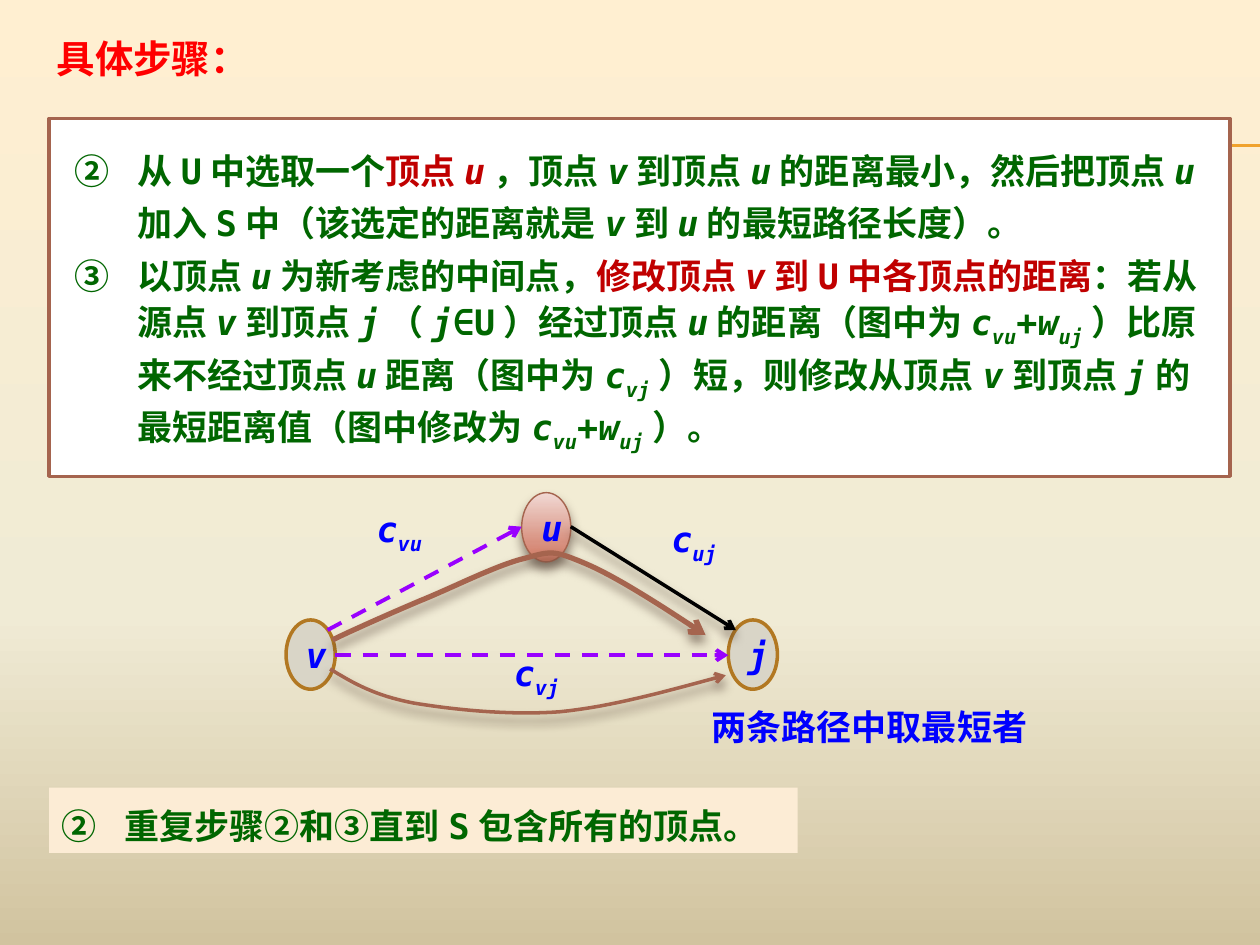
from lxml import etree
from pptx import Presentation, util as u
from pptx.dml.color import RGBColor
from pptx.enum import dml, lang, shapes, text
from pptx.oxml.ns import qn

Inches = u.Inches
FONT = "DejaVu Sans Mono"
COLORS = {
    "title": "FF0000", "step": "006600", "key": "C00000", "label": "0000FF",
    "rule": "F0A22E", "brown": "A5644E", "white": "FFFFFF", "repeat": "FCECD5",
    "node": "D9D5C7", "node_edge": "B27822", "dashed": "9900FF",
    "black": "000000", "shadow": "4E3B30",
}
BACKGROUND = [(0, "FFEFD1"), (65, "F0EBD5"), (100, "D1C39F")]
CHOSEN = [(0, "F1D9D4"), (72, "D89180"), (100, "D47A62")]
# *italic*, _subscript_, |key phrase|
STEPS = [
    "从U中选取一个|顶点*u*|，顶点*v*到顶点*u*的距离最小，然后把顶点*u*"
    "加入S中（该选定的距离就是*v*到*u*的最短路径长度）。",
    "以顶点*u*为新考虑的中间点，|修改顶点*v*到U中各顶点的距离|：若从源点*v*"
    "到顶点*j*（*j*∈U）经过顶点*u*的距离（图中为*c_vu_*+*w_uj_*）比原来不经过"
    "顶点*u*距离（图中为*c_vj_*）短，则修改从顶点*v*到顶点*j*的最短距离值"
    "（图中修改为*c_vu_*+*w_uj_*）。",
]


def rgb(name):
    return RGBColor.from_string(COLORS[name])


def child(parent, tag, **attributes):
    return etree.SubElement(parent, qn(tag), {k: str(v) for k, v in attributes.items()})


def add_run(paragraph, words, size, color, marks):
    run = paragraph.add_run()
    run.text = words
    font = run.font
    font.name, font.size, font.bold = FONT, u.Pt(size), True
    font.italic = "*" in marks
    font.language_id = lang.MSO_LANGUAGE_ID.SIMPLIFIED_CHINESE
    font.color.rgb = rgb("key" if "|" in marks else color)
    if "_" in marks:
        font._element.set("baseline", "-25000")


def write(frame, paragraphs, size=20, color="label", align=text.PP_ALIGN.LEFT,
          anchor=text.MSO_ANCHOR.TOP, inset=(0.1, 0.05), numbered=False):
    frame.word_wrap = True
    frame.auto_size = text.MSO_AUTO_SIZE.NONE
    frame.vertical_anchor = anchor
    frame.margin_left = frame.margin_right = Inches(inset[0])
    frame.margin_top = frame.margin_bottom = Inches(inset[1])
    for i, marked in enumerate(paragraphs):
        paragraph = frame.add_paragraph() if i else frame.paragraphs[0]
        paragraph.alignment = align
        paragraph.space_before = u.Pt(0)
        if numbered:
            paragraph.line_spacing = u.Pt(30)
            properties = paragraph._p.get_or_add_pPr()
            properties.set("marL", str(Inches(0.5)))
            properties.set("indent", str(Inches(-0.5)))
            child(properties, "a:buAutoNum", type="circleNumDbPlain", startAt=2)
        marks, words = set(), ""
        for letter in marked:
            if letter in "*_|":
                if words:
                    add_run(paragraph, words, size, color, marks)
                marks, words = marks ^ {letter}, ""
            else:
                words += letter
        if words:
            add_run(paragraph, words, size, color, marks)


def place(shape, left, top, width, height):
    shape.left, shape.top = Inches(left), Inches(top)
    shape.width, shape.height = Inches(width), Inches(height)


def gradient(fill, owner, stops):
    fill.gradient()
    fill.gradient_angle = 270
    stop_list = owner.xpath(".//a:gsLst")[0]
    stop_list.clear()
    for position, color in stops:
        stop = child(stop_list, "a:gs", pos=position * 1000)
        child(stop, "a:srgbClr", val=color)


def set_effect(shape, shadowed=False):
    properties = shape._element.spPr
    effects = properties.find(qn("a:effectLst"))
    if effects is None:
        effects = child(properties, "a:effectLst")
    if shadowed:
        outer = child(effects, "a:outerShdw", blurRad=u.Pt(6), dist=u.Pt(4),
                      dir=5400000, rotWithShape=0)
        color = child(outer, "a:srgbClr", val=COLORS["shadow"])
        child(color, "a:alpha", val=60000)


def stroke(shape, color, width, dashed=False, arrow=False):
    shape.line.color.rgb = rgb(color)
    shape.line.width = u.Pt(width)
    if dashed:
        shape.line.dash_style = dml.MSO_LINE.DASH
    if arrow:
        child(shape.get_or_add_ln(), "a:tailEnd", type="arrow")


def add_line(slide, start, end, color, width, shadowed=False, **style):
    line = slide.shapes.add_connector(
        shapes.MSO_CONNECTOR.STRAIGHT, *(Inches(n) for n in (*start, *end)))
    stroke(line, color, width, **style)
    set_effect(line, shadowed)
    return line


def add_curve(slide, start, bends, width):
    points, here = [], start
    for a, b, end in bends:
        for step in range(1, 17):
            t = step / 16
            weights = (1 - t) ** 3, 3 * t * (1 - t) ** 2, 3 * t * t * (1 - t), t ** 3
            points.append(tuple(
                Inches(sum(w * p[axis] for w, p in zip(weights, (here, a, b, end))))
                for axis in (0, 1)))
        here = end
    builder = slide.shapes.build_freeform(Inches(start[0]), Inches(start[1]))
    builder.add_line_segments(points, close=False)
    curve = builder.convert_to_shape()
    curve.fill.background()
    stroke(curve, "brown", width, arrow=True)
    set_effect(curve, True)


def add_label(slide, left, top, width, words):
    label = slide.shapes.add_textbox(*(Inches(n) for n in (left, top, width, 0.44)))
    write(label.text_frame, [words])


def add_backdrop(slide):
    gradient(slide.background.fill, slide._element, BACKGROUND)
    for y in (1.15, 1.16):
        rule = add_line(slide, (0.56, y), (10, y), "rule", 0.75)
        slide.shapes._spTree.insert(2, rule._element)


def add_title(slide, *box):
    title = slide.shapes.title
    place(title, *box)
    write(title.text_frame, ["具体步骤："], size=22, color="title")


def add_steps(slide, *box):
    steps = slide.placeholders[1]
    place(steps, *box)
    steps.fill.solid()
    steps.fill.fore_color.rgb = rgb("white")
    stroke(steps, "brown", 2)
    write(steps.text_frame, STEPS, color="step", inset=(0.2, 0.16), numbered=True)


def add_node(slide, left, top, name, chosen=False):
    node = slide.shapes.add_shape(
        shapes.MSO_SHAPE.OVAL, *(Inches(n) for n in (left, top, 0.39, 0.55)))
    if chosen:
        gradient(node.fill, node._element, CHOSEN)
        stroke(node, "brown", 0.79)
    else:
        node.fill.solid()
        node.fill.fore_color.rgb = rgb("node")
        stroke(node, "node_edge", 2)
    node.shadow.inherit = False
    set_effect(node, chosen)
    write(node.text_frame, [f"*{name}*"], align=text.PP_ALIGN.CENTER,
          anchor=text.MSO_ANCHOR.MIDDLE)


def add_graph(slide, left, top):
    def at(x, y):
        return left + x, top + y

    add_node(slide, *at(1.87, 0), "u", chosen=True)
    add_node(slide, *at(0, 1.01), "v")
    add_node(slide, *at(3.51, 1.01), "j")
    add_line(slide, at(0.39, 1.29), at(3.51, 1.29), "dashed", 2.25, dashed=True, arrow=True)
    add_line(slide, at(2.26, 0.27), at(3.57, 1.09), "black", 2, shadowed=True, arrow=True)
    add_line(slide, at(0.33, 1.09), at(1.87, 0.27), "dashed", 2.25, dashed=True, arrow=True)
    for x, y, ends in [(0.62, 0.07, "vu"), (1.71, 1.21, "vj"), (2.96, 0.15, "uj")]:
        add_label(slide, *at(x, y), 0.63, f"*c_{ends}_*")
    add_curve(slide, at(0.37, 1.17), [
        (at(0.42, 1.14), at(0.8, 0.97), at(1.06, 0.86)),
        (at(1.31, 0.76), at(1.68, 0.57), at(1.9, 0.52)),
        (at(2.11, 0.46), at(2.13, 0.46), at(2.37, 0.56)),
        (at(2.61, 0.66), at(2.97, 0.89), at(3.33, 1.13))], 3)
    add_curve(slide, at(0.35, 1.4), [
        (at(0.53, 1.51), at(0.7, 1.61), at(1.01, 1.67)),
        (at(1.31, 1.72), at(1.76, 1.77), at(2.17, 1.74)),
        (at(2.59, 1.7), at(3.04, 1.57), at(3.49, 1.45))], 2)
    add_label(slide, *at(3.28, 1.64), 2.73, "两条路径中取最短者")


def add_repeat_step(slide, *box):
    repeat = slide.shapes.add_shape(shapes.MSO_SHAPE.RECTANGLE, *(Inches(n) for n in box))
    repeat.shadow.inherit = False
    repeat.fill.solid()
    repeat.fill.fore_color.rgb = rgb("repeat")
    repeat.line.fill.background()
    write(repeat.text_frame, ["重复步骤②和③直到S包含所有的顶点。"], color="step", numbered=True)


def main():
    deck = Presentation()
    deck.slide_width, deck.slide_height = Inches(10), Inches(7.5)
    slide = deck.slides.add_slide(deck.slide_layouts[1])
    add_backdrop(slide)
    add_title(slide, 0.35, 0.23, 9.37, 0.47)
    add_steps(slide, 0.39, 0.94, 9.37, 2.84)
    add_graph(slide, 2.27, 3.91)
    add_repeat_step(slide, 0.39, 6.25, 5.94, 0.52)
    deck.save("out.pptx")


if __name__ == "__main__":
    main()
